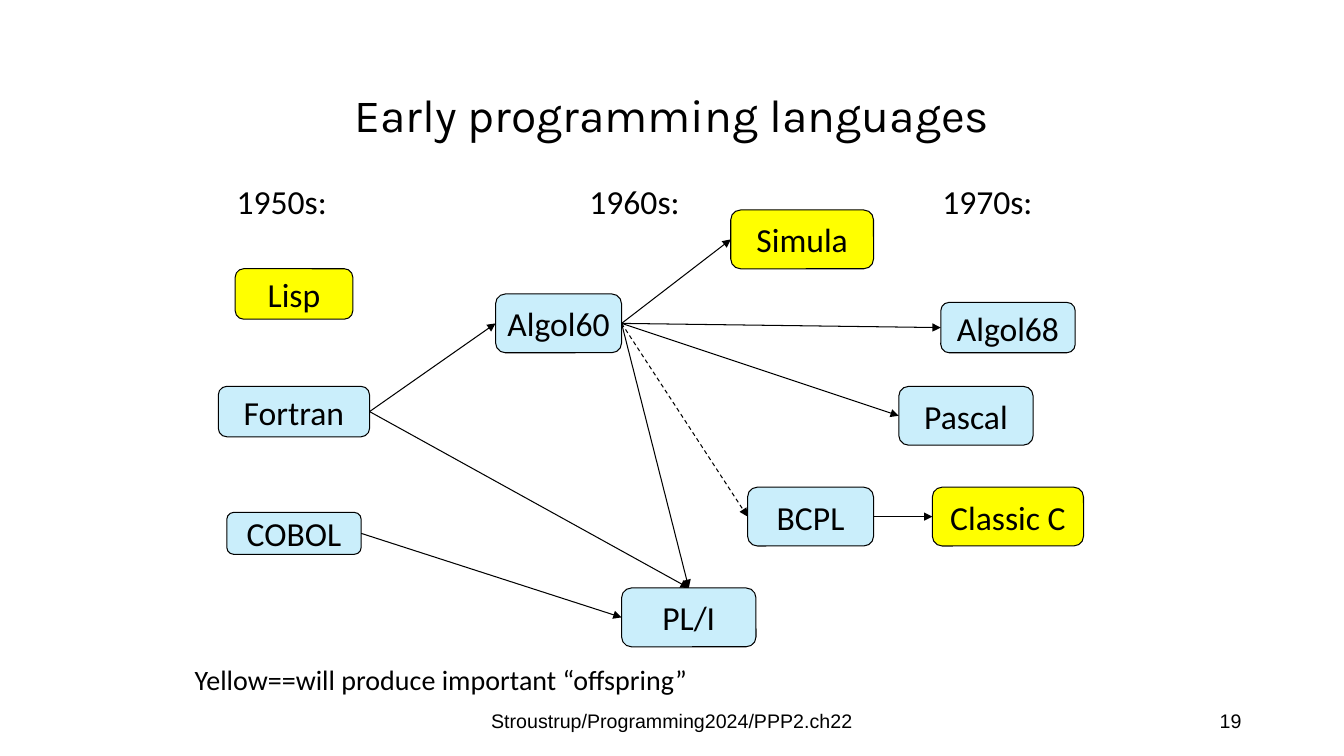
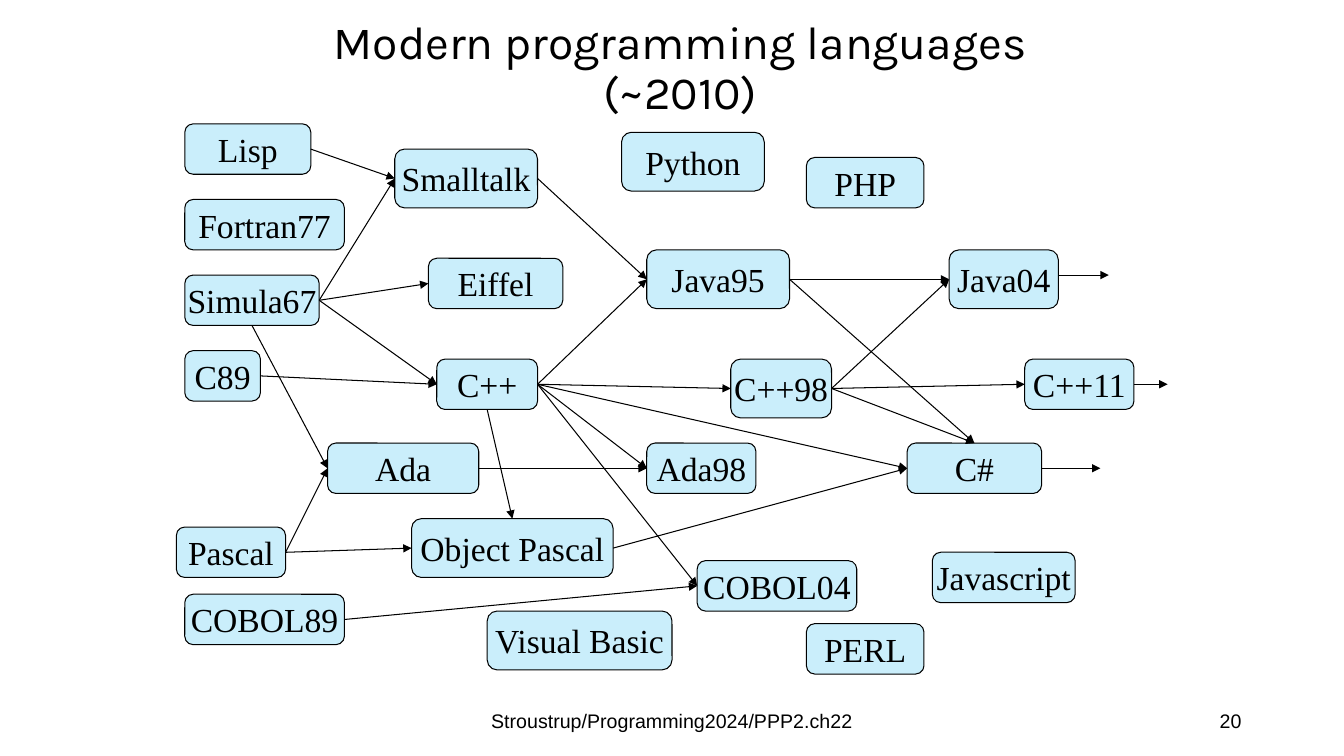
from lxml import etree
from pptx import Presentation
from pptx.dml.color import RGBColor
from pptx.enum.dml import MSO_LINE
from pptx.enum.shapes import MSO_CONNECTOR, MSO_SHAPE
from pptx.enum.text import MSO_ANCHOR, MSO_AUTO_SIZE, PP_ALIGN
from pptx.oxml.ns import qn
from pptx.util import Emu, Pt

ROUND = MSO_SHAPE.ROUNDED_RECTANGLE
STRAIGHT = MSO_CONNECTOR.STRAIGHT
DASH = MSO_LINE.DASH
MIDDLE, TOP = MSO_ANCHOR.MIDDLE, MSO_ANCHOR.TOP
LEFT, CENTER, RIGHT = PP_ALIGN.LEFT, PP_ALIGN.CENTER, PP_ALIGN.RIGHT
FIXED = MSO_AUTO_SIZE.NONE

SCALE = 9525
COLORS = {"ink": "000000", "blue": "CAEEFB", "yellow": "FFFF00"}
SITES = {"top": 0, "left": 1, "bottom": 2, "right": 3}
FOOTER = "Stroustrup/Programming2024/PPP2.ch22"

EARLY = {
    "Lisp": (224, 256, 112, 48),
    "Fortran": (208, 368, 144, 48),
    "COBOL": (216, 488, 128, 40),
    "Algol60": (472, 280, 120, 56),
    "Simula": (696, 200, 136, 56),
    "Algol68": (896, 288, 128, 48),
    "Pascal": (856, 368, 128, 56),
    "BCPL": (712, 464, 120, 56),
    "Classic C": (888, 464, 144, 56),
    "PL/I": (592, 560, 128, 56),
}
FERTILE = ("Lisp", "Simula", "Classic C")
EARLY_LINKS = [
    ("Fortran", "right", "Algol60", "left"),
    ("Fortran", "right", "PL/I", "top"),
    ("COBOL", "right", "PL/I", "left"),
    ("Algol60", "right", "Simula", "left"),
    ("Algol60", "right", "Algol68", "left"),
    ("Algol60", "right", "Pascal", "left"),
    ("Algol60", "right", "PL/I", "top"),
    ("BCPL", "right", "Classic C", "left"),
]
DECADES = [("1950s:", 216), ("1960s:", 552), ("1970s:", 888)]

MODERN = {
    "Lisp": (176, 118, 120, 48),
    "Fortran77": (176, 190, 152, 48),
    "Simula67": (176, 262, 128, 48),
    "C89": (176, 334, 72, 48),
    "Pascal": (168, 502, 104, 48),
    "COBOL89": (176, 566, 152, 48),
    "Smalltalk": (376, 142, 136, 56),
    "Eiffel": (408, 246, 128, 48),
    "C++": (416, 342, 96, 48),
    "Ada": (312, 422, 144, 48),
    "Object Pascal": (392, 494, 192, 56),
    "Visual Basic": (464, 582, 176, 56),
    "Python": (592, 126, 136, 56),
    "Java95": (616, 238, 136, 56),
    "C++98": (696, 342, 96, 56),
    "Ada98": (616, 422, 104, 48),
    "COBOL04": (664, 534, 152, 48),
    "PHP": (768, 150, 112, 48),
    "PERL": (768, 594, 112, 48),
    "Java04": (904, 238, 104, 56),
    "C++11": (976, 342, 104, 48),
    "C#": (864, 422, 128, 48),
    "Javascript": (888, 526, 136, 48),
}
MODERN_LINKS = [
    ("Lisp", "right", "Smalltalk", "left"),
    ("Simula67", "right", "Smalltalk", "left"),
    ("Simula67", "right", "Eiffel", "left"),
    ("Simula67", "right", "C++", "left"),
    ("Simula67", "bottom", "Ada", "left"),
    ("C89", "right", "C++", "left"),
    ("Pascal", "right", "Ada", "left"),
    ("Pascal", "right", "Object Pascal", "left"),
    ("COBOL89", "right", "COBOL04", "left"),
    ("Smalltalk", "right", "Java95", "left"),
    ("C++", "right", "Java95", "left"),
    ("C++", "right", "C++98", "left"),
    ("C++", "right", "C#", "left"),
    ("C++", "right", "Ada98", "left"),
    ("C++", "right", "COBOL04", "left"),
    ("C++", "bottom", "Object Pascal", "top"),
    ("Ada", "right", "Ada98", "left"),
    ("Object Pascal", "right", "C#", "left"),
    ("Java95", "right", "Java04", "left"),
    ("Java95", "right", "C#", "top"),
    ("C++98", "right", "Java04", "left"),
    ("C++98", "right", "C++11", "left"),
    ("C++98", "right", "C#", "top"),
]
FUTURE = [(1008, 262, 1056), (1080, 366, 1112), (992, 446, 1048)]


def px(*sizes):
    return [Emu(size * SCALE) for size in sizes]


def color(name):
    return RGBColor.from_string(COLORS[name])


def write(frame, text, size, font, align, anchor, wrap=True):
    frame.auto_size = FIXED
    frame.word_wrap = wrap
    frame.vertical_anchor = anchor
    para = frame.paragraphs[0]
    para.alignment = align
    run = para.add_run()
    run.text = text
    run.font.size = Pt(size)
    run.font.name = font
    run.font.color.rgb = color("ink")
    return para


def label(slide, area, text, size, font, align=LEFT, anchor=TOP):
    box = slide.shapes.add_textbox(*px(*area))
    write(box.text_frame, text, size, font, align, anchor)


def start(deck, title, area, number):
    slide = deck.slides.add_slide(deck.slide_layouts[5])
    head = slide.shapes.title
    head.left, head.top, head.width, head.height = px(*area)
    para = write(head.text_frame, title, 33, "Karla", CENTER, MIDDLE)
    para.line_spacing = 0.9
    label(slide, (424, 667, 432, 38), FOOTER, 14, "Arial", CENTER, MIDDLE)
    label(slide, (904, 667, 288, 38), number, 14, "Arial", RIGHT, MIDDLE)
    return slide


def node(slide, name, area, font, fill):
    box = slide.shapes.add_shape(ROUND, *px(*area))
    box.shadow.inherit = False
    box.fill.solid()
    box.fill.fore_color.rgb = color(fill)
    box.line.color.rgb = color("ink")
    box.line.width = Pt(0.75)
    write(box.text_frame, name, 24, font, CENTER, MIDDLE, False)
    return box


def arrow(slide, ends=(0, 0, 0, 0), dash=None):
    line = slide.shapes.add_connector(STRAIGHT, *px(*ends))
    line.line.color.rgb = color("ink")
    line.line.width = Pt(0.75)
    if dash:
        line.line.dash_style = dash
    props = line.element.spPr
    etree.SubElement(props.find(qn("a:ln")), qn("a:tailEnd"), type="triangle")
    etree.SubElement(props, qn("a:effectLst"))
    return line


def link(slide, nodes, source, out, target, into, dash=None):
    line = arrow(slide, dash=dash)
    line.begin_connect(nodes[source], SITES[out])
    line.end_connect(nodes[target], SITES[into])


def graph(slide, places, links, font, bright=()):
    nodes = {
        name: node(slide, name, area, font, "yellow" if name in bright else "blue")
        for name, area in places.items()
    }
    for ends in links:
        link(slide, nodes, *ends)
    return nodes


def early(deck):
    slide = start(deck, "Early programming languages", (232, 64, 816, 96), "19")
    nodes = graph(slide, EARLY, EARLY_LINKS, "Calibri", FERTILE)
    link(slide, nodes, "Algol60", "right", "BCPL", "left", DASH)
    for text, left in DECADES:
        label(slide, (left, 168, 144, 48), text, 24, "Calibri")
    note = "Yellow==will produce important “offspring”"
    label(slide, (176, 626, 520, 40), note, 20, "Calibri")


def modern(deck):
    title = "Modern programming languages (~2010)"
    slide = start(deck, title, (240, 24, 816, 84), "20")
    graph(slide, MODERN, MODERN_LINKS, "Times New Roman")
    for left, level, right in FUTURE:
        arrow(slide, (left, level, right, level))


def main():
    deck = Presentation()
    deck.slide_width, deck.slide_height = px(1280, 720)
    early(deck)
    modern(deck)
    deck.save("out.pptx")


if __name__ == "__main__":
    main()
